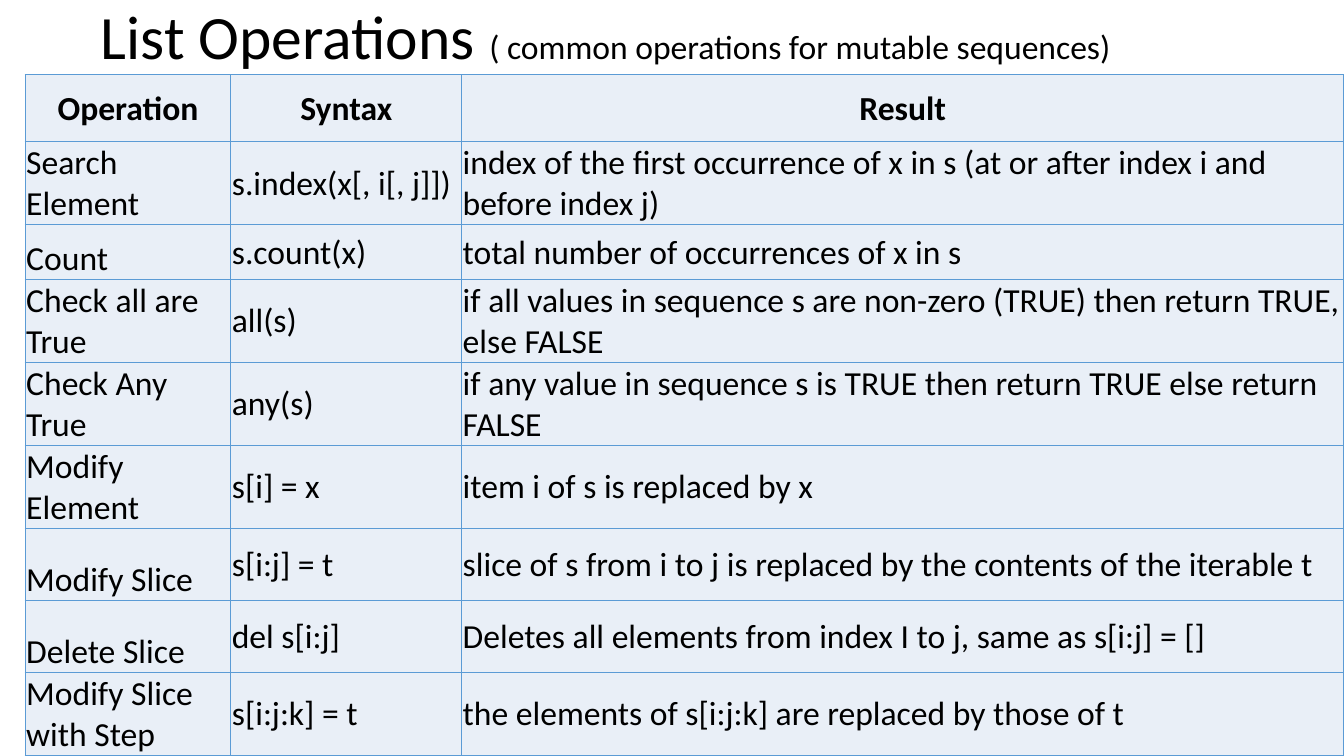
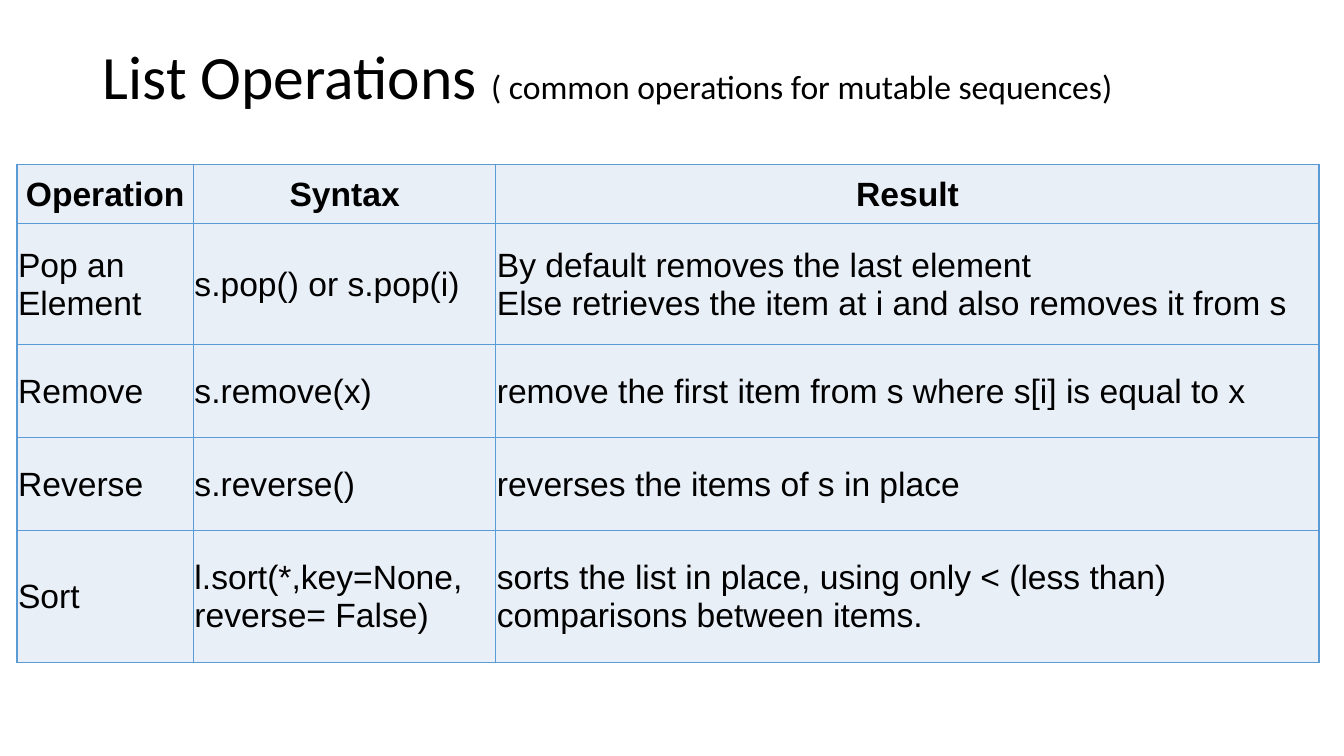
from lxml import etree
from pptx import Presentation
from pptx.dml.color import RGBColor
from pptx.enum.text import MSO_ANCHOR, MSO_AUTO_SIZE, PP_ALIGN
from pptx.oxml.ns import qn
from pptx.util import Pt

MIDDLE, BOTTOM = MSO_ANCHOR.MIDDLE, MSO_ANCHOR.BOTTOM
LEFT, CENTER = PP_ALIGN.LEFT, PP_ALIGN.CENTER
NO_AUTOFIT = MSO_AUTO_SIZE.NONE

TITLE_ONLY = 5
TEXT_COLOR = "000000"
CELL_FILL = "E9EFF7"
BORDER_COLOR = "5B9BD5"
TITLE_FONT = "Calibri"
TITLE_RUNS = [("List Operations ", 44), ("( common operations for mutable sequences)", 24)]
HEADER = ("Operation", "Syntax", "Result")

SLIDES = [
    {
        "title_at": (64.8, 0.7),
        "table_at": (18, 53.3),
        "font": "Calibri",
        "operation_anchor": BOTTOM,
        "columns": [146.9, 164.9, 630],
        "heights": [48, 57.6, 39] + [51.4] * 6,
        "rows": [
            HEADER,
            ("Search Element", "s.index(x[, i[, j]])",
             "index of the first occurrence of x in s (at or after index i and before index j)"),
            ("Count", "s.count(x)", "total number of occurrences of x in s"),
            ("Check all are True", "all(s)",
             "if all values in sequence s are non-zero (TRUE) then return TRUE, else FALSE"),
            ("Check Any True", "any(s)",
             "if any value in sequence s is TRUE then return TRUE else return FALSE"),
            ("Modify Element", "s[i] = x", "item i of s is replaced by x"),
            ("Modify Slice", "s[i:j] = t",
             "slice of s from i to j is replaced by the contents of the iterable t"),
            ("Delete Slice", "del s[i:j]",
             "Deletes all elements from index I to j, same as s[i:j] = []"),
            ("Modify Slice with Step", "s[i:j:k] = t",
             "the elements of s[i:j:k] are replaced by those of t"),
        ],
    },
    {
        "title_at": (66.2, 28.8),
        "table_at": (12.2, 117.4),
        "font": "Arial",
        "operation_anchor": MIDDLE,
        "columns": [126, 216, 588],
        "heights": [42.5, 86.4, 66.2, 66.2, 94.3],
        "rows": [
            HEADER,
            ("Pop an Element", "s.pop() or s.pop(i)",
             "By default removes the last element\n"
             "Else retrieves the item at i and also removes it from s"),
            ("Remove", "s.remove(x)", "remove the first item from s where s[i] is equal to x"),
            ("Reverse", "s.reverse()", "reverses the items of s in place"),
            ("Sort", "l.sort(*,key=None, reverse= False)",
             "sorts the list in place, using only < (less than) comparisons between items."),
        ],
    },
]


def rgb(color):
    return RGBColor.from_string(color)


def add_borders(cell):
    properties = cell._tc.get_or_add_tcPr()
    for side in ("a:lnL", "a:lnR", "a:lnT", "a:lnB"):
        line = etree.SubElement(properties, qn(side), w=str(Pt(1)))
        fill = etree.SubElement(line, qn("a:solidFill"))
        etree.SubElement(fill, qn("a:srgbClr"), val=BORDER_COLOR)


presentation = Presentation()
presentation.slide_width = Pt(960)
presentation.slide_height = Pt(540)

for content in SLIDES:
    slide = presentation.slides.add_slide(presentation.slide_layouts[TITLE_ONLY])

    title = slide.shapes.title
    title.left, title.top = map(Pt, content["title_at"])
    title.width, title.height = Pt(828), Pt(55.4)
    title.text_frame.auto_size = NO_AUTOFIT
    title.text_frame.vertical_anchor = MIDDLE
    paragraph = title.text_frame.paragraphs[0]
    paragraph.alignment = LEFT
    paragraph.line_spacing = 0.9
    paragraph.font.name = TITLE_FONT
    paragraph.font.color.rgb = rgb(TEXT_COLOR)
    for text, size in TITLE_RUNS:
        run = paragraph.add_run()
        run.text = text
        run.font.size = Pt(size)

    rows, columns, heights = content["rows"], content["columns"], content["heights"]
    left, top = content["table_at"]
    table = slide.shapes.add_table(
        len(rows), len(columns), Pt(left), Pt(top), Pt(sum(columns)), Pt(sum(heights))
    ).table
    table.first_row = False
    table.horz_banding = False
    for column, width in zip(table.columns, columns):
        column.width = Pt(width)
    for row, height in zip(table.rows, heights):
        row.height = Pt(height)

    for row_index, texts in enumerate(rows):
        is_header = row_index == 0
        for column_index, text in enumerate(texts):
            cell = table.cell(row_index, column_index)
            is_operation = column_index == 0 and not is_header
            cell.vertical_anchor = content["operation_anchor"] if is_operation else MIDDLE
            cell.margin_left = cell.margin_right = cell.margin_top = Pt(0.75)
            cell.margin_bottom = 0
            add_borders(cell)
            cell.fill.solid()
            cell.fill.fore_color.rgb = rgb(CELL_FILL)
            cell.text = text
            for paragraph in cell.text_frame.paragraphs:
                paragraph.alignment = CENTER if is_header else LEFT
                paragraph.font.name = content["font"]
                paragraph.font.size = Pt(24)
                paragraph.font.bold = is_header
                paragraph.font.color.rgb = rgb(TEXT_COLOR)

presentation.save("out.pptx")
